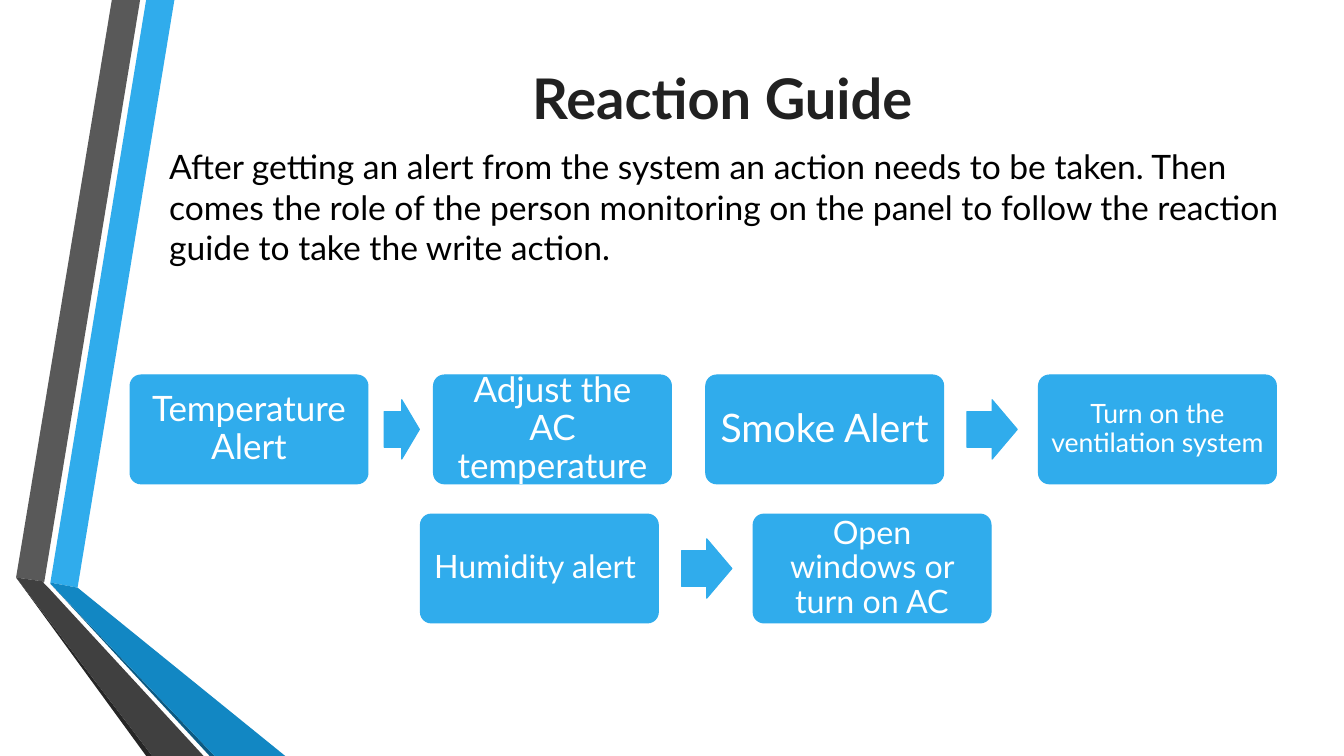
"""Build the Reaction Guide slide with three alert-to-action flows."""
from pptx import Presentation
from pptx.dml.color import RGBColor
from pptx.enum.shapes import MSO_SHAPE
from pptx.enum.text import MSO_ANCHOR, PP_ALIGN
from pptx.util import Inches, Pt

ROUND, ARROW = MSO_SHAPE.ROUNDED_RECTANGLE, MSO_SHAPE.RIGHT_ARROW
MIDDLE, TOP = MSO_ANCHOR.MIDDLE, MSO_ANCHOR.TOP
CENTER, LEFT = PP_ALIGN.CENTER, PP_ALIGN.LEFT

FONT = "Lato"
BLUE, WHITE = "30ACEC", "FFFFFF"
TITLE = "Reaction Guide"
BODY = ("After getting an alert from the system an action needs to be taken. "
        "Then comes the role of the person monitoring on the panel to follow "
        "the reaction guide to take the write action.")

BANDS = [
    (BLUE, [(0.5, 5.78), (0.77, 5.83), (1.73, 0), (1.45, 0)]),
    ("595959", [(1.39, 0), (1.11, 0), (0.16, 5.73), (0.44, 5.77)]),
    ("262626", [(0.16, 5.73), (1.45, 7.5), (1.51, 7.5)]),
    ("0C5A82", [(0.5, 5.79), (2.08, 7.5), (2.13, 7.5)]),
    ("1287C3", [(0.5, 5.79), (2.13, 7.5), (2.83, 7.5), (0.77, 5.83), (0.5, 5.78)]),
    ("404040", [(2.02, 7.5), (0.48, 5.83), (0.43, 5.78), (0.44, 5.77),
                (0.16, 5.73), (1.51, 7.5)]),
]

BOX_W, BOX_H, ARROW_H = 2.36, 1.08, 0.59
# left, top, step to second box, arrow offset, arrow width, (text, size, inset) pairs
FLOWS = [
    (1.29, 3.72, 3.01, 2.52, 0.35,
     [("Temperature Alert", 25, 0.1), ("Adjust the AC temperature", 25, 0.1)]),
    (7, 3.72, 3.3, 2.59, 0.5,
     [("Smoke Alert", 28, 0.11), ("Turn on the ventilation system ", 19, 0.08)]),
    (4.17, 5.1, 3.3, 2.59, 0.5,
     [("Humidity alert ", 23, 0.1), ("Open windows or turn on AC", 23, 0.1)]),
]


def color(text):
    return RGBColor.from_string(text)


def paint(shape, fill, line=False):
    shape.shadow.inherit = False
    shape.fill.solid()
    shape.fill.fore_color.rgb = color(fill)
    if line:
        shape.line.color.rgb = color(fill)
        shape.line.width = Pt(0.75)
    else:
        shape.line.fill.background()


def write(shape, text, size, tint, align, anchor, inset=None, bold=False, space=None):
    frame = shape.text_frame
    frame.word_wrap = True
    frame.vertical_anchor = anchor
    if inset is not None:
        frame.margin_left = frame.margin_right = Inches(inset)
        frame.margin_top = frame.margin_bottom = Inches(inset)
    para = frame.paragraphs[0]
    para.alignment = align
    para.line_spacing = space
    run = para.add_run()
    run.text = text
    run.font.name, run.font.size, run.font.bold = FONT, Pt(size), bold
    run.font.color.rgb = color(tint)


def add_block(shapes, kind, adjust, *place):
    shape = shapes.add_shape(kind, *map(Inches, place))
    for i, value in enumerate(adjust):
        shape.adjustments[i] = value
    paint(shape, BLUE, line=True)
    return shape


def add_band(shapes, fill, points):
    spots = [(Inches(x), Inches(y)) for x, y in points]
    path = shapes.build_freeform(*spots[0])
    path.add_line_segments(spots[1:], close=True)
    paint(path.convert_to_shape(), fill)


def add_flow(shapes, left, top, step, shift, width, labels):
    for i, (text, size, inset) in enumerate(labels):
        box = add_block(shapes, ROUND, [0.1], left + i * step, top, BOX_W, BOX_H)
        write(box, text, size, WHITE, CENTER, MIDDLE, inset, space=0.9)
    drop = (BOX_H - ARROW_H) / 2
    add_block(shapes, ARROW, [0.6, 0.5], left + shift, top + drop, width, ARROW_H)


def main():
    deck = Presentation()
    deck.slide_width, deck.slide_height = Inches(13.33), Inches(7.5)
    shapes = deck.slides.add_slide(deck.slide_layouts[6]).shapes
    for fill, points in BANDS:
        add_band(shapes, fill, points)
    title = shapes.add_textbox(*map(Inches, (1.5, 0.57, 11.33, 0.78)))
    write(title, TITLE, 40, "212121", CENTER, MIDDLE, bold=True)
    for flow in FLOWS:
        add_flow(shapes, *flow)
    body = shapes.add_textbox(*map(Inches, (1.58, 1.4, 11.33, 1.62)))
    write(body, BODY, 24, "000000", LEFT, TOP)
    deck.save("out.pptx")


if __name__ == "__main__":
    main()
